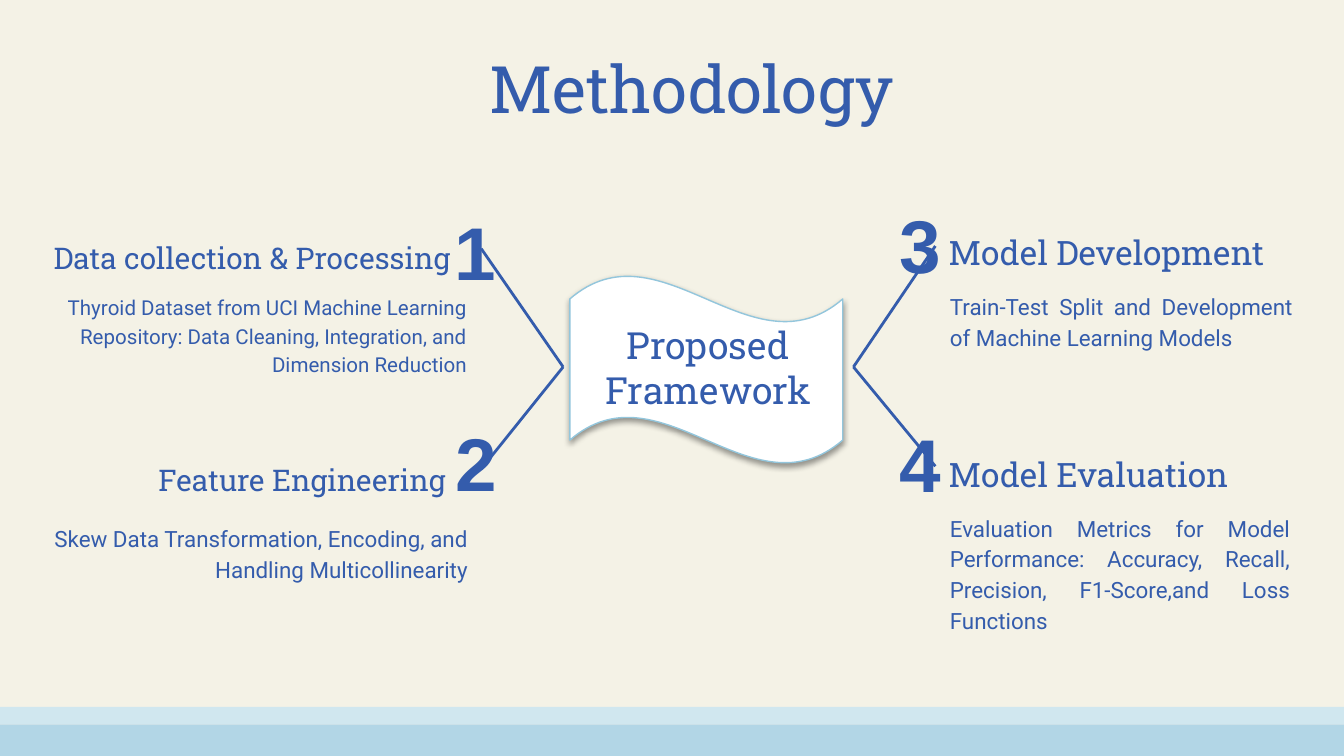
from lxml.etree import SubElement
from pptx import Presentation
from pptx.dml.color import RGBColor
from pptx.enum.shapes import MSO_CONNECTOR, MSO_SHAPE
from pptx.enum.text import MSO_ANCHOR, PP_ALIGN
from pptx.oxml.ns import qn
from pptx.util import Pt

COLORS = {
    "background": "F4F2E6", "ink": "345CAC", "wave": "FFFFFF",
    "wave_edge": "93C6DC", "band": "B2D6E6", "pale_band": "D0E7EF",
}
SLAB, SANS, NUMERAL = "Roboto Slab", "Roboto", "Arial"
SLIDE_W, SLIDE_H = 720, 405

# Content; boxes are left, top, width, height in points
TITLE = "Methodology"
HUB = "Proposed Framework"
BANDS = [("band", 388.1, 18), ("pale_band", 378.7, 9.4)]
STEPS = [
    dict(number="1", number_box=(227.5, 106.6, 54.7, 55.4),
         heading="Data collection & Processing", heading_size=16,
         heading_box=(21.6, 110.9, 236.2, 43.9),
         detail="Thyroid Dataset from UCI Machine Learning Repository: "
                "Data Cleaning, Integration, and Dimension Reduction",
         detail_size=11, detail_box=(21.6, 149, 235.7, 73.4),
         side="left", spoke_y=133.2),
    dict(number="2", number_box=(236.9, 219.6, 36.9, 55.4),
         heading="Feature Engineering", heading_size=16,
         heading_box=(77.8, 229.7, 180, 43.9),
         detail="Skew Data Transformation, Encoding, "
                "and Handling Multicollinearity",
         detail_size=12, detail_box=(21.6, 272.2, 236.2, 73.4),
         side="left", spoke_y=251.3),
    dict(number="3", number_box=(474.5, 103, 36.9, 55.4),
         heading="Model Development", heading_size=18,
         heading_box=(501.1, 109.4, 198.7, 43.9),
         detail="Train-Test Split and Development of Machine Learning Models",
         detail_size=12, detail_box=(501.8, 147.6, 198, 49),
         side="right", spoke_y=131.8),
    dict(number="4", number_box=(474.5, 220.3, 36.9, 55.4),
         heading="Model Evaluation", heading_size=18,
         heading_box=(501.1, 228.2, 198, 43.9),
         detail="Evaluation Metrics for Model Performance: Accuracy, Recall, "
                "Precision, F1-Score,and Loss Functions",
         detail_size=12, detail_box=(501.8, 266.4, 196.6, 84.2),
         side="right", spoke_y=249.8),
]
HUB_Y = 196.6
SPOKE_X = {"left": (301.7, 257.8), "right": (457.2, 501.1)}
DETAIL_ALIGN = {"left": PP_ALIGN.RIGHT, "right": PP_ALIGN.JUSTIFY}

presentation = Presentation()
presentation.slide_width, presentation.slide_height = Pt(SLIDE_W), Pt(SLIDE_H)
slide = presentation.slides.add_slide(presentation.slide_layouts[6])


def color(name):
    return RGBColor.from_string(COLORS[name])


def add_text(text, box, *, size, font=SLAB, bold=False, align=PP_ALIGN.LEFT,
             anchor=MSO_ANCHOR.TOP, spacing=None, inset=7.2):
    frame = slide.shapes.add_textbox(*map(Pt, box)).text_frame
    frame.word_wrap = True
    frame.vertical_anchor = anchor
    frame.margin_left = frame.margin_right = Pt(7.2)
    frame.margin_top = frame.margin_bottom = Pt(inset)
    paragraph = frame.paragraphs[0]
    paragraph.alignment = align
    paragraph.line_spacing = spacing
    run = paragraph.add_run()
    run.text = text
    run.font.name, run.font.size, run.font.bold = font, Pt(size), bold
    run.font.color.rgb = color("ink")


def add_filled(preset, box, fill):
    shape = slide.shapes.add_shape(preset, *map(Pt, box))
    shape.shadow.inherit = False
    shape.fill.solid()
    shape.fill.fore_color.rgb = color(fill)
    shape.line.fill.background()
    return shape


# Background and bottom bands
slide.background.fill.solid()
slide.background.fill.fore_color.rgb = color("background")
for fill, top, height in BANDS:
    add_filled(MSO_SHAPE.RECTANGLE, (0, top, SLIDE_W, height), fill)

# Central wave with its soft shadow
wave = add_filled(MSO_SHAPE.WAVE, (305.3, 147.6, 146.2, 100.8), "wave")
wave.line.color.rgb = color("wave_edge")
wave.line.width = Pt(0.75)
effects = wave.element.spPr.find(qn("a:effectLst"))
shadow = SubElement(effects, qn("a:outerShdw"), blurRad=str(Pt(3.1)),
                    dist=str(Pt(1.6)), dir="5400000", rotWithShape="0")
shade = SubElement(shadow, qn("a:srgbClr"), val="000000")
SubElement(shade, qn("a:alpha"), val="38000")

# Title and hub label
add_text(TITLE, (67, 18.7, 607, 45.4), size=35, align=PP_ALIGN.CENTER)
add_text(HUB, (301.7, 172.1, 155.5, 49), size=20, align=PP_ALIGN.CENTER,
         anchor=MSO_ANCHOR.MIDDLE)

# Spokes from the hub to each step
for step in STEPS:
    hub_x, step_x = SPOKE_X[step["side"]]
    spoke = slide.shapes.add_connector(
        MSO_CONNECTOR.STRAIGHT,
        *map(Pt, (hub_x, HUB_Y, step_x, step["spoke_y"])))
    spoke.line.color.rgb = color("ink")
    spoke.line.width = Pt(1.5)
    SubElement(spoke.element.spPr, qn("a:effectLst"))

# Step headings, details and numbers
for step in STEPS:
    add_text(step["heading"], step["heading_box"], size=step["heading_size"],
             anchor=MSO_ANCHOR.BOTTOM)
    add_text(step["detail"], step["detail_box"], size=step["detail_size"],
             font=SANS, align=DETAIL_ALIGN[step["side"]], spacing=1.15)
    add_text(step["number"], step["number_box"], size=40, font=NUMERAL,
             bold=True, align=PP_ALIGN.CENTER, inset=3.6)

presentation.save("out.pptx")
